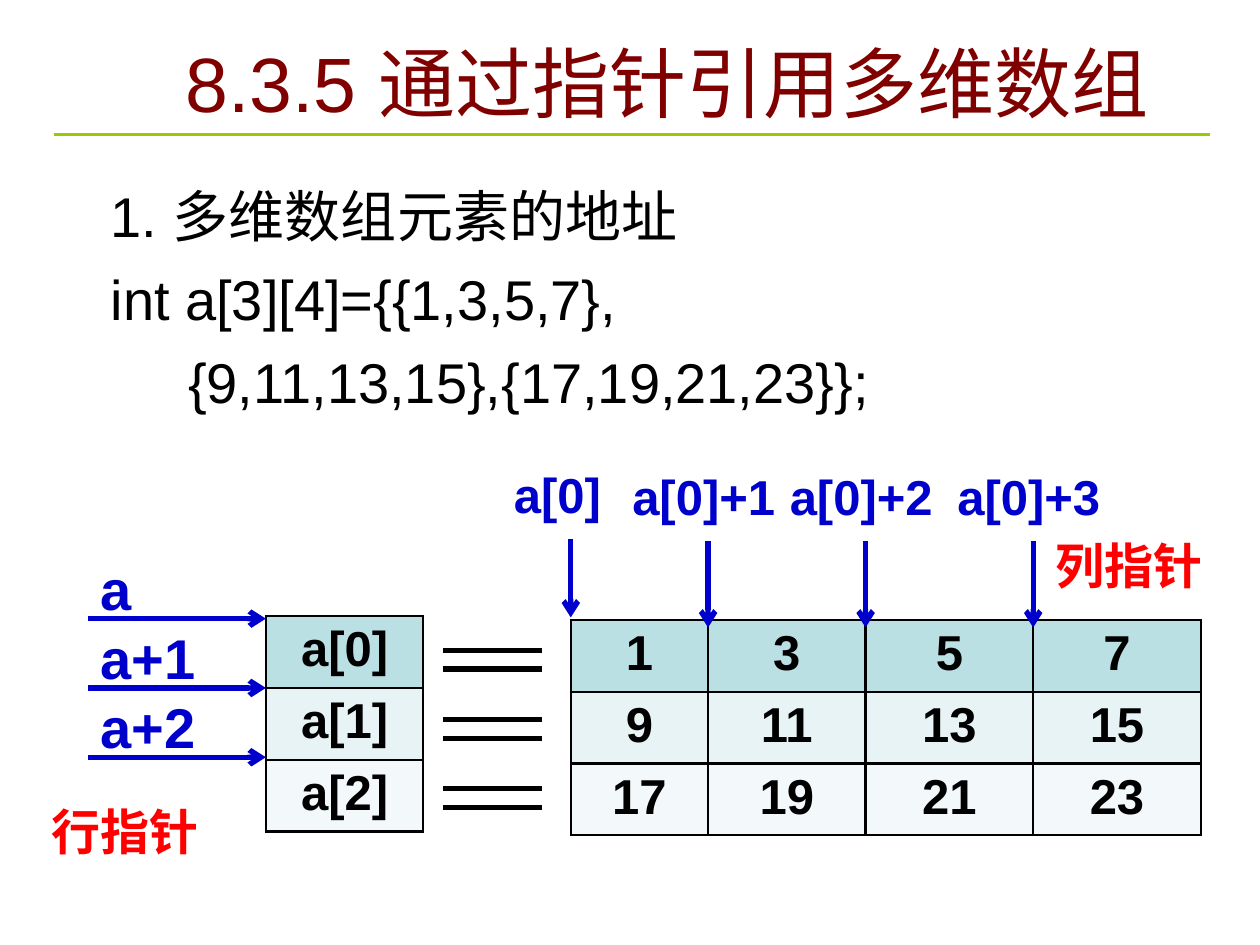
from itertools import accumulate

from lxml import etree
from pptx import Presentation
from pptx import util as u
from pptx.dml.color import RGBColor
from pptx.enum import shapes, text
from pptx.oxml.ns import qn

# Content
TITLE = "8.3.5 通过指针引用多维数组"
BODY = ["1. 多维数组元素的地址", "int a[3][4]={{1,3,5,7},", "     {9,11,13,15},{17,19,21,23}};"]
VALUES = [["1", "3", "5", "7"], ["9", "11", "13", "15"], ["17", "19", "21", "23"]]
ROW_NAMES = [["a[0]"], ["a[1]"], ["a[2]"]]
ROW_POINTERS = [("a", 0.47), ("a+1", 1.25), ("a+2", 1.25)]  # label, box width
# label, box width, offset left of the column edge, label top, arrow end
COLUMN_POINTERS = [("a[0]", 1.17, 0.55, 3.64, 4.9)] + [
    (f"a[0]+{n}", 1.8, 0.7, 3.65, 4.98) for n in (1, 2, 3)]
CAPTIONS = [("行指针", 0.31, 6.31), ("列指针", 8.28, 4.2)]

# Grid and colours
VALUES_LEFT, VALUES_TOP = 4.53, 4.92
NAMES_LEFT, NAMES_TOP = 2.11, 4.89
COLUMN_WIDTHS = [1.09, 1.25, 1.33, 1.33]
NAME_WIDTHS = [1.25]
ROW_HEIGHT = 0.57
POINTER_LEFT, POINTER_TOP, POINTER_STEP = 0.7, 4.91, 0.55
EQUALS_LEFT, EQUALS_RIGHT, EQUALS_TOP, EQUALS_GAP = 3.52, 4.3, 5.16, 0.15
ROW_FILLS = ["BBE0E3", "E7F3F4", "F3F9FA"]
BLACK, BLUE, RED, MAROON, GREEN = "000000", "0000CC", "FF0000", "800000", "99CC00"


def color(value):
    return RGBColor.from_string(value)


def inches(*values):
    return [u.Inches(value) for value in values]


def style(paragraph, size, fill, bold=False):
    font = paragraph.font
    font.name, font.size, font.bold = "Arial", u.Pt(size), bold
    font.color.rgb = color(fill)


def add_text(slide, content, left, top, width, height, size, fill):
    frame = slide.shapes.add_textbox(*inches(left, top, width, height)).text_frame
    frame.word_wrap = True
    paragraph = frame.paragraphs[0]
    paragraph.text = content
    style(paragraph, size, fill, True)


def add_line(slide, x1, y1, x2, y2, fill, width=3, arrow=False):
    connector = slide.shapes.add_connector(
        shapes.MSO_CONNECTOR.STRAIGHT, *inches(x1, y1, x2, y2))
    connector.line.color.rgb = color(fill)
    connector.line.width = u.Pt(width)
    if arrow:
        etree.SubElement(connector.line._get_or_add_ln(), qn("a:tailEnd"), type="arrow")
    etree.SubElement(connector._element.spPr, qn("a:effectLst"))


def add_borders(cell):
    properties = cell._tc.get_or_add_tcPr()
    for side in ("lnL", "lnR", "lnT", "lnB"):
        border = etree.SubElement(properties, qn(f"a:{side}"), w=str(u.Pt(1.47)))
        fill = etree.SubElement(border, qn("a:solidFill"))
        etree.SubElement(fill, qn("a:srgbClr"), val=BLACK)


def add_grid(slide, rows, left, top, widths):
    table = slide.shapes.add_table(
        len(rows), len(widths),
        *inches(left, top, sum(widths), ROW_HEIGHT * len(rows))).table
    for column, width in zip(table.columns, widths):
        column.width = u.Inches(width)
    for r, (row, fill) in enumerate(zip(rows, ROW_FILLS)):
        table.rows[r].height = u.Inches(ROW_HEIGHT)
        for c, content in enumerate(row):
            cell = table.cell(r, c)
            add_borders(cell)
            cell.fill.solid()
            cell.fill.fore_color.rgb = color(fill)
            cell.text = content
            paragraph = cell.text_frame.paragraphs[0]
            paragraph.alignment = text.PP_ALIGN.CENTER
            style(paragraph, 28, BLACK, True)


def main():
    presentation = Presentation()
    presentation.slide_width, presentation.slide_height = inches(10, 7.5)
    slide = presentation.slides.add_slide(presentation.slide_layouts[5])

    # Title and rule
    title = slide.shapes.title
    title.left, title.top, title.width, title.height = inches(1.26, 0.23, 8.07, 0.84)
    title.text_frame.text = TITLE
    title.text_frame.vertical_anchor = text.MSO_ANCHOR.MIDDLE
    title.text_frame.paragraphs[0].alignment = text.PP_ALIGN.CENTER
    style(title.text_frame.paragraphs[0], 44, MAROON)
    add_line(slide, 0.43, 1.07, 9.6, 1.07, GREEN, 1.5)

    # Heading and declaration
    frame = slide.shapes.add_textbox(*inches(0.78, 1.39, 8.83, 2.5)).text_frame
    frame.word_wrap = True
    for i, content in enumerate(BODY):
        paragraph = frame.add_paragraph() if i else frame.paragraphs[0]
        paragraph.text = content
        if i:
            paragraph.space_before = u.Pt(9)
        style(paragraph, 32, BLACK)

    # Arrays
    add_grid(slide, VALUES, VALUES_LEFT, VALUES_TOP, COLUMN_WIDTHS)
    add_grid(slide, ROW_NAMES, NAMES_LEFT, NAMES_TOP, NAME_WIDTHS)

    # Row pointers and equals signs
    for i, (label, width) in enumerate(ROW_POINTERS):
        y = POINTER_TOP + i * POINTER_STEP
        add_text(slide, label, POINTER_LEFT, y - 0.56, width, 0.64, 32, BLUE)
        add_line(slide, POINTER_LEFT, y, NAMES_LEFT, y, BLUE, arrow=True)
        for bar in range(2):
            bar_y = EQUALS_TOP + i * POINTER_STEP + bar * EQUALS_GAP
            add_line(slide, EQUALS_LEFT, bar_y, EQUALS_RIGHT, bar_y, BLACK)

    # Column pointers
    edges = accumulate(COLUMN_WIDTHS[:-1], initial=VALUES_LEFT)
    for x, (label, width, offset, top, end) in zip(edges, COLUMN_POINTERS):
        add_text(slide, label, x - offset, top, width, 0.57, 28, BLUE)
        add_line(slide, x, top + 0.64, x, end, BLUE, arrow=True)

    # Captions
    for caption, left, top in CAPTIONS:
        add_text(slide, caption, left, top, 1.48, 0.57, 28, RED)

    presentation.save("out.pptx")


if __name__ == "__main__":
    main()
